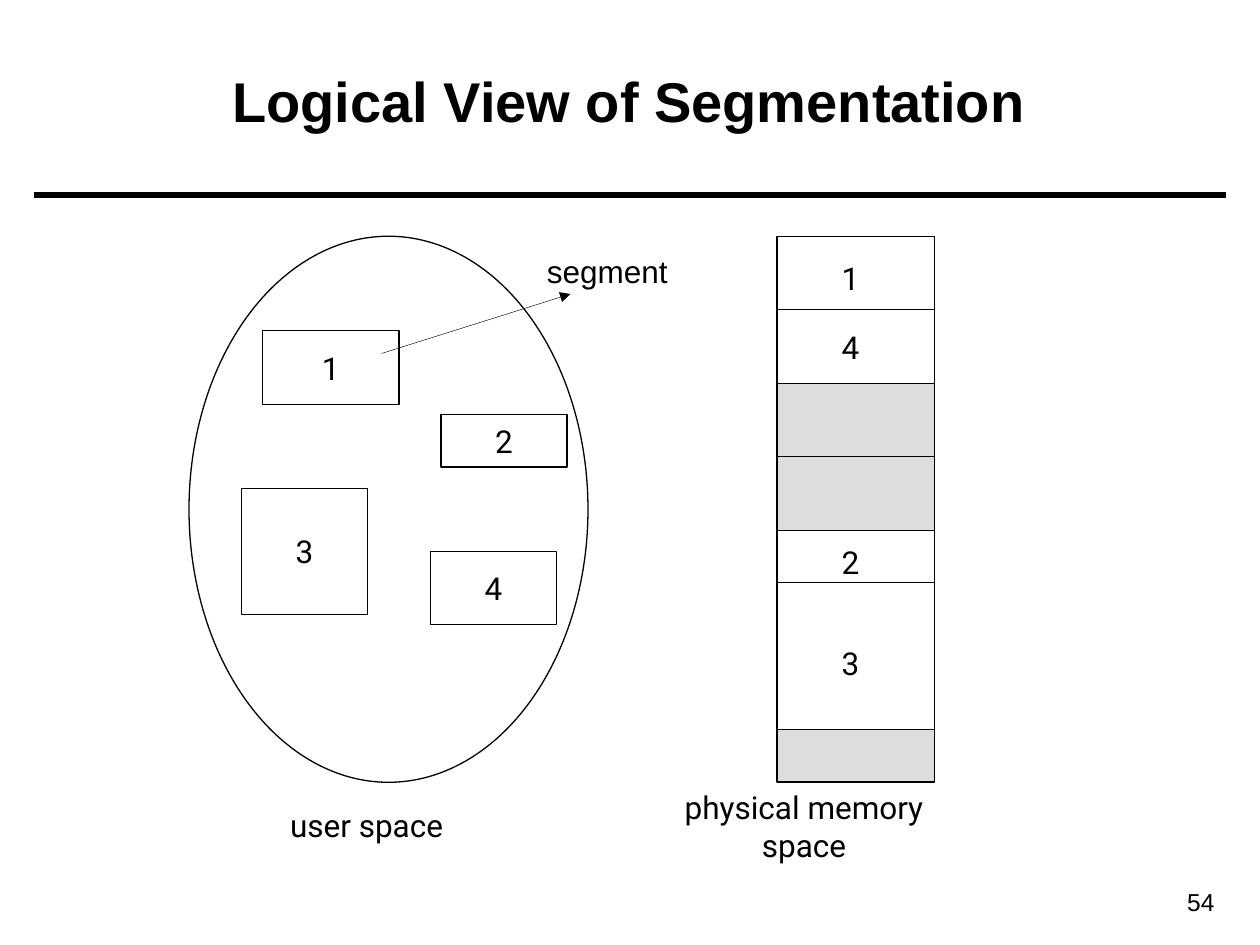
import pptx
import pptx.util
import pptx.dml.color
import pptx.enum.shapes
import pptx.enum.text
import pptx.oxml.ns
import lxml.etree

Pt = pptx.util.Pt
SHAPE = pptx.enum.shapes.MSO_SHAPE
ALIGN = pptx.enum.text.PP_ALIGN
ANCHOR = pptx.enum.text.MSO_ANCHOR
BLACK, WHITE, GRAY = "000000", "FFFFFF", "DDDDDD"


def color(value):
    return pptx.dml.color.RGBColor.from_string(value)


def write(tf, text, size=18, font="Roboto", align=ALIGN.CENTER, bold=False, wrap=False):
    tf.word_wrap = wrap
    tf.vertical_anchor = ANCHOR.MIDDLE
    tf.margin_left = tf.margin_right = tf.margin_top = tf.margin_bottom = 0
    p = tf.paragraphs[0]
    p.text = text
    p.alignment = align
    p.font.size = Pt(size)
    p.font.name = font
    p.font.bold = bold
    p.font.color.rgb = color(BLACK)


def add_label(shapes, text, x, y, w, h, **style):
    box = shapes.add_textbox(Pt(x), Pt(y), Pt(w), Pt(h))
    write(box.text_frame, text, **style)


def add_box(shapes, x, y, w, h, fill=WHITE, text="", kind=SHAPE.RECTANGLE):
    sp = shapes.add_shape(kind, Pt(x), Pt(y), Pt(w), Pt(h))
    sp.shadow.inherit = False
    sp.fill.solid()
    sp.fill.fore_color.rgb = color(fill)
    sp.line.color.rgb = color(BLACK)
    sp.line.width = Pt(0.75)
    if text:
        write(sp.text_frame, text)
    return sp


def add_line(shapes, x1, y1, x2, y2, width=0.75, arrow=False):
    line = shapes.add_connector(
        pptx.enum.shapes.MSO_CONNECTOR.STRAIGHT, Pt(x1), Pt(y1), Pt(x2), Pt(y2))
    line.line.color.rgb = color(BLACK)
    line.line.width = Pt(width)
    if arrow:
        tail = lxml.etree.SubElement(line.line._get_or_add_ln(), pptx.oxml.ns.qn("a:tailEnd"))
        tail.set("type", "triangle")
    lxml.etree.SubElement(line._element.spPr, pptx.oxml.ns.qn("a:effectLst"))
    return line


def add_title(s, text):
    title = s.shapes.title
    title.left, title.top, title.width, title.height = Pt(25), Pt(12), Pt(669), Pt(90)
    write(title.text_frame, text, size=32, font="Arial", bold=True, wrap=True)


def add_user_space(shapes):
    add_box(shapes, 108, 135, 228, 312, kind=SHAPE.OVAL)
    for text, x, y, w, h in (
        ("1", 150, 189, 78, 42),
        ("3", 138, 279, 72, 72),
        ("2", 252, 237, 72, 30),
        ("4", 246, 315, 72, 42),
    ):
        add_box(shapes, x, y, w, h, text=text)
    add_label(shapes, "user space", 156, 457, 107, 29)


def add_memory(shapes):
    left, width = 444, 90
    right = left + width
    group = shapes.add_group_shape().shapes
    for top, height, fill, divider in (
        (135, 84, WHITE, 177),
        (219, 84, GRAY, 261),
        (303, 114, WHITE, 333),
        (417, 30, GRAY, None),
    ):
        block = add_box(group, left, top, width, height, fill)
        if divider:
            line = add_line(group, left, divider, right, divider)
            if divider == top + height / 2:
                line.begin_connect(block, 1)
                line.end_connect(block, 3)
    for text, middle in (("1", 159), ("4", 198), ("2", 321), ("3", 379)):
        add_label(group, text, 474, middle - 14.5, 24, 29)
    add_label(shapes, "physical memory space", 382, 450, 155, 44, wrap=True)


def main():
    prs = pptx.Presentation()
    prs.slide_width, prs.slide_height = Pt(720), Pt(540)
    s = prs.slides.add_slide(prs.slide_layouts[5])
    add_title(s, "Logical View of Segmentation")
    add_line(s.shapes, 19.5, 111.5, 700.5, 111.5, width=3)
    add_user_space(s.shapes)
    add_memory(s.shapes)
    add_line(s.shapes, 218, 202, 326, 168, width=0.25, arrow=True)
    add_label(s.shapes, "segment", 305, 140, 84, 29, font="Arial")
    add_label(s.shapes, "54", 619, 503, 75, 24, size=14, font="Arial", align=ALIGN.RIGHT)
    prs.save("out.pptx")


if __name__ == "__main__":
    main()
